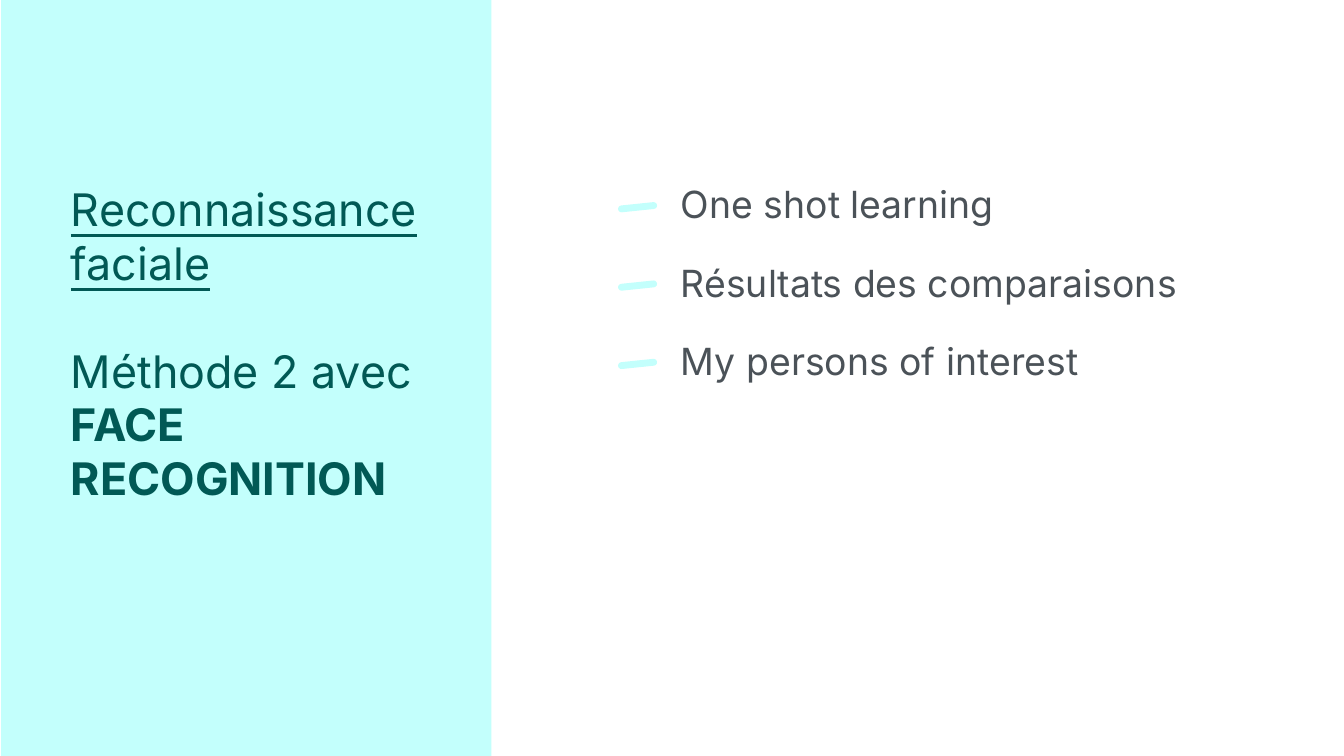
from pptx import Presentation
from pptx.dml.color import RGBColor
from pptx.enum import shapes, text
from pptx.util import Cm, Pt

AQUA = RGBColor(0xC3, 0xFF, 0xFC)
TEAL = RGBColor(0x01, 0x59, 0x55)
SLATE = RGBColor(0x4B, 0x52, 0x58)
WHITE = RGBColor(0xFF, 0xFF, 0xFF)

TOPICS = ["One shot learning", "Résultats des comparaisons", "My persons of interest"]
FIRST_TOP = 3.18
TOPIC_STEP = 1.48


def apply_format(target, values):
    for name, value in values.items():
        setattr(target, name, value)


def place(box, left, top, width, height):
    apply_format(box, {"left": Cm(left), "top": Cm(top),
                       "width": Cm(width), "height": Cm(height)})


def prepare_frame(frame):
    apply_format(frame, {
        "word_wrap": True,
        "auto_size": text.MSO_AUTO_SIZE.NONE,
        "vertical_anchor": text.MSO_ANCHOR.TOP,
        **{f"margin_{side}": Cm(0.25) for side in ("left", "top", "right", "bottom")},
    })


def add_span(para, wording, size, color, **styles):
    span = para.add_run()
    span.text = wording
    apply_format(span.font, {"name": "Inter", "size": Pt(size), **styles})
    span.font.color.rgb = color


def add_block(page, kind, left, top, width, height):
    block = page.shapes.add_shape(kind, Cm(left), Cm(top), Cm(width), Cm(height))
    block.shadow.inherit = False
    block.fill.solid()
    block.fill.fore_color.rgb = AQUA
    block.line.fill.background()
    return block


def fill_title(title):
    place(title, 1.09, FIRST_TOP, 7.62, 9.6)
    frame = title.text_frame
    prepare_frame(frame)
    subject, method = frame.paragraphs[0], frame.add_paragraph()
    for para in (subject, method):
        apply_format(para, {"alignment": text.PP_ALIGN.LEFT, "line_spacing": 1.0})
    method.space_before = Pt(29)
    add_span(subject, "Reconnaissance faciale", 24, TEAL, bold=False, underline=True)
    add_span(method, "Méthode 2 avec ", 24, TEAL, bold=False)
    add_span(method, "FACE RECOGNITION", 24, TEAL, bold=True)


def add_topic(page, wording, top):
    box = page.shapes.add_textbox(Cm(12.62), Cm(top), Cm(14.76), Cm(TOPIC_STEP))
    prepare_frame(box.text_frame)
    add_span(box.text_frame.paragraphs[0], wording, 20, SLATE)
    dash = add_block(page, shapes.MSO_SHAPE.ROUNDED_RECTANGLE, 11.68, top + 0.67, 0.74, 0.13)
    dash.adjustments[0] = 0.5
    dash.rotation = 354.1


def main():
    deck = Presentation()
    apply_format(deck, {"slide_width": Cm(25.4), "slide_height": Cm(14.28)})
    page = deck.slides.add_slide(deck.slide_layouts[5])
    page.background.fill.solid()
    page.background.fill.fore_color.rgb = WHITE

    title = page.shapes.title
    panel = add_block(page, shapes.MSO_SHAPE.RECTANGLE, 0.02, -0.04, 9.27, 14.33)
    title.element.addprevious(panel.element)
    fill_title(title)
    for index, topic in enumerate(TOPICS):
        add_topic(page, topic, FIRST_TOP + index * TOPIC_STEP)

    deck.save("out.pptx")


if __name__ == "__main__":
    main()
